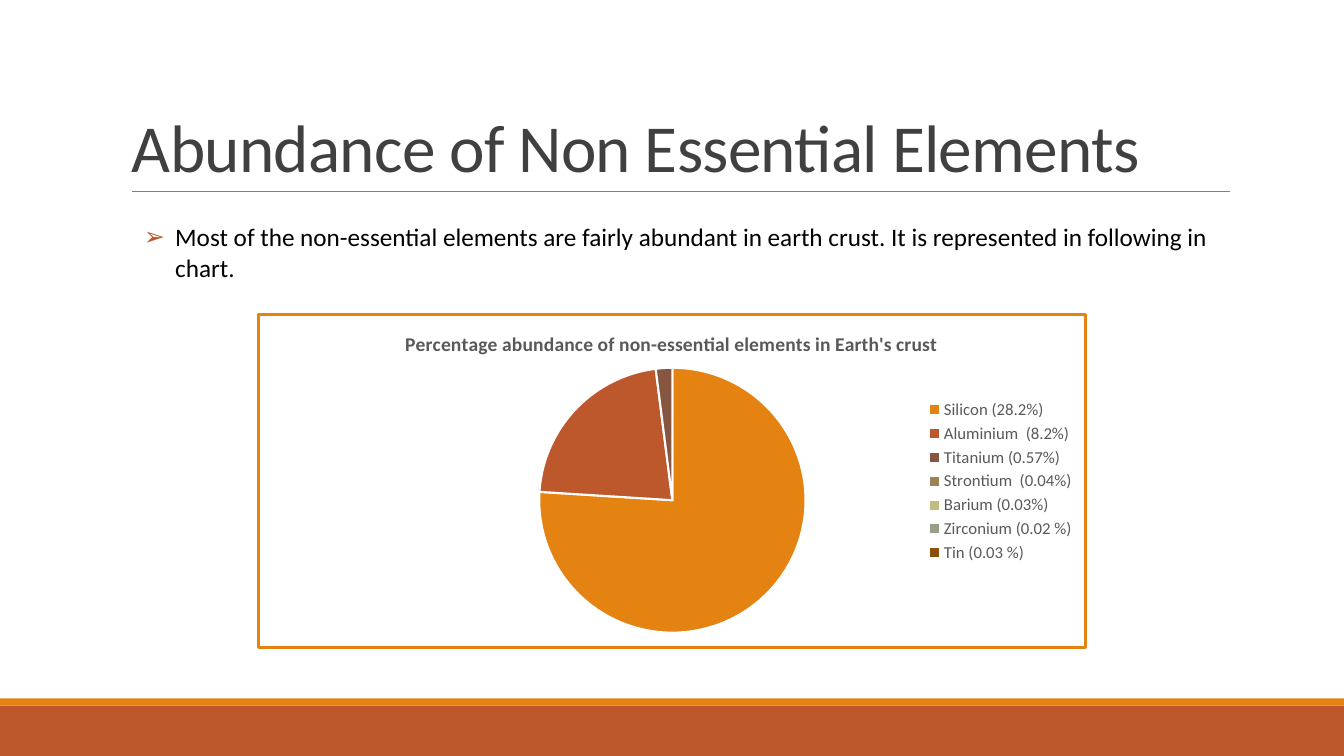
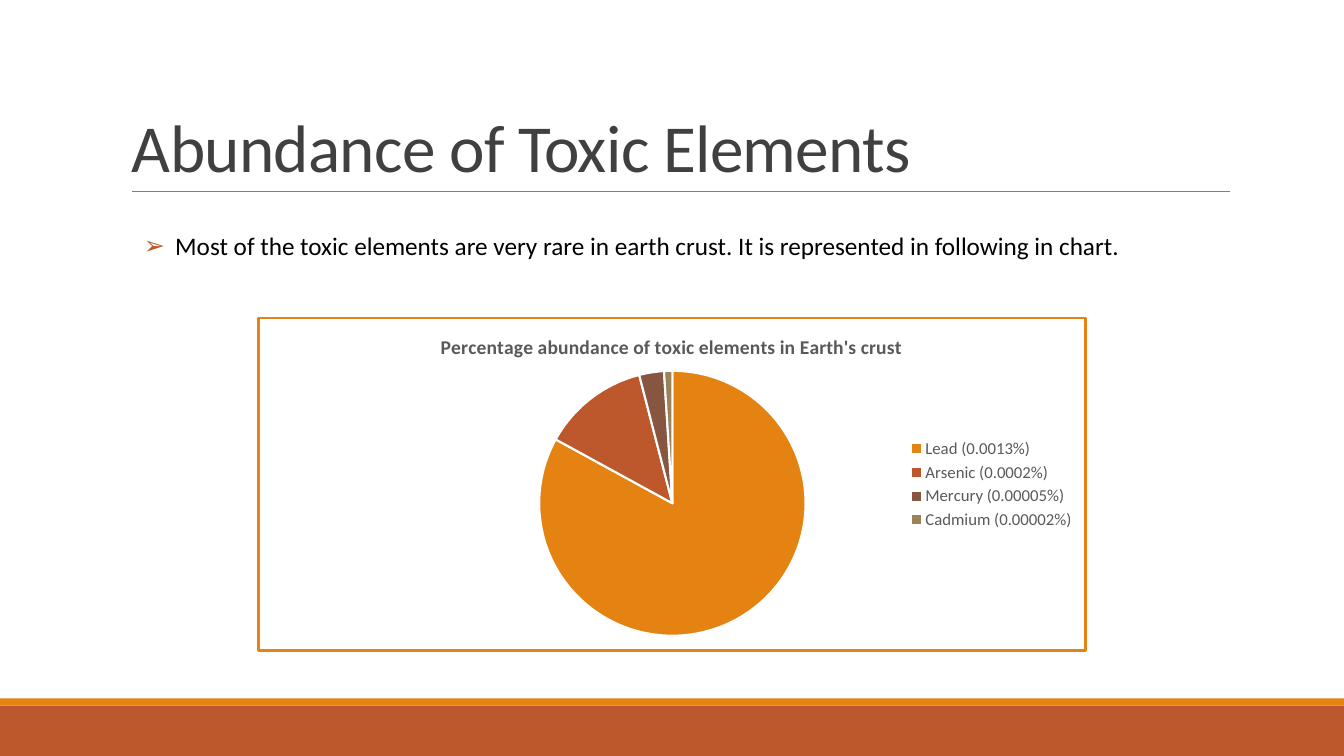
from dataclasses import dataclass

from lxml import etree
from pptx import Presentation
from pptx import util as u
from pptx.chart import data as cd
from pptx.dml.color import RGBColor
from pptx.enum import chart as ce
from pptx.enum import shapes, text
from pptx.oxml import ns, parse_xml

COLORS = {
    "rust": "BD582C", "orange": "E48312", "rule": "808080", "title": "404040",
    "body": "000000", "chart_text": "595959", "white": "FFFFFF",
}
SLICES = ["E48312", "BD582C", "865640", "9B8357", "C2BC80", "94A088", "894F0B"]
FONT = "Calibri"
PLOT_BOX = {"x": 0.339, "y": 0.159, "w": 0.323, "h": 0.796}


@dataclass
class ChartSlide:
    title: str
    point: str
    point_top: float
    point_height: float
    chart_top: float
    chart_title: str
    title_x: float
    shares: dict[str, int]


@dataclass
class Band:
    top: float
    height: float
    color: str


BANDS = [Band(7, 0.5, "rust"), Band(6.93, 0.07, "orange")]

SLIDES = [
    ChartSlide(
        "Abundance of Non Essential Elements",
        "Most of the non-essential elements are fairly abundant in earth crust. "
        "It is represented in following in chart.",
        2.15, 0.71, 3.11,
        "Percentage abundance of non-essential elements in Earth's crust", 0.173,
        {"Silicon (28.2%)": 76, "Aluminium  (8.2%)": 22,
         "Titanium (0.57%)": 2, "Strontium  (0.04%)": 0,
         "Barium (0.03%)": 0, "Zirconium (0.02 %)": 0,
         "Tin (0.03 %)": 0}),
    ChartSlide(
        "Abundance of Toxic Elements",
        "Most of the toxic elements are very rare in earth crust. "
        "It is represented in following in chart.",
        2.24, 0.4, 3.14,
        "Percentage abundance of toxic elements in Earth's crust", 0.216,
        {"Lead (0.0013%)": 83, "Arsenic (0.0002%)": 13,
         "Mercury (0.00005%)": 3, "Cadmium (0.00002%)": 1}),
]


def rgb(name: str) -> RGBColor:
    return RGBColor.from_string(COLORS[name])


def box(left: float, top: float, width: float, height: float) -> list[u.Length]:
    return [u.Inches(v) for v in (left, top, width, height)]


def style(font, size: float, color: str, bold: bool = False) -> None:
    font.name, font.size, font.bold = FONT, u.Pt(size), bold
    font.color.rgb = rgb(color)


def add_text(s, content: str, at: list[u.Length], *, size: float, color: str,
             anchor=text.MSO_ANCHOR.TOP, line_spacing: float = 1.0,
             tracking: float = 0, bullet: str = "", indent: float = 0) -> None:
    tf = s.shapes.add_textbox(*at).text_frame
    tf.word_wrap = True
    tf.vertical_anchor = anchor
    p = tf.paragraphs[0]
    p.line_spacing = line_spacing
    r = p.add_run()
    r.text = content
    style(r.font, size, color)
    if tracking:
        r.font._element.set("spc", str(round(tracking * 100)))
    if bullet:
        ppr = p._p.get_or_add_pPr()
        ppr.set("marL", str(u.Inches(indent)))
        ppr.set("indent", str(-u.Inches(indent)))
        bu_clr = etree.SubElement(ppr, ns.qn("a:buClr"))
        etree.SubElement(bu_clr, ns.qn("a:srgbClr")).set("val", COLORS["rust"])
        etree.SubElement(ppr, ns.qn("a:buFont")).set("typeface", FONT)
        etree.SubElement(ppr, ns.qn("a:buChar")).set("char", bullet)


def add_frame(s) -> None:
    """Bottom bands and the rule under the title."""
    for band in BANDS:
        sp = s.shapes.add_shape(shapes.MSO_SHAPE.RECTANGLE,
                                *box(0, band.top, 13.33, band.height))
        sp.shadow.inherit = False
        sp.fill.solid()
        sp.fill.fore_color.rgb = rgb(band.color)
        sp.line.fill.background()
    rule = s.shapes.add_connector(shapes.MSO_CONNECTOR.STRAIGHT,
                                  *box(1.31, 1.9, 12.2, 1.9))
    rule.line.color.rgb = rgb("rule")
    rule.line.width = u.Pt(0.5)
    etree.SubElement(rule._element.spPr, ns.qn("a:effectLst"))


def set_layout(parent, index: int, target: str = "", **place: float) -> None:
    """Place a chart part by fractions of the chart's size."""
    for old in parent.findall(ns.qn("c:layout")):
        parent.remove(old)
    layout = etree.Element(ns.qn("c:layout"))
    manual = etree.SubElement(layout, ns.qn("c:manualLayout"))
    settings = {"layoutTarget": target} if target else {}
    settings |= {"xMode": "edge", "yMode": "edge"}
    settings |= {key: str(value) for key, value in place.items()}
    for key, value in settings.items():
        etree.SubElement(manual, ns.qn(f"c:{key}")).set("val", value)
    parent.insert(index, layout)


def add_pie(s, item: ChartSlide) -> None:
    data = cd.CategoryChartData()
    data.categories = list(item.shares)
    data.add_series("Series 1", list(item.shares.values()))
    chart = s.shapes.add_chart(ce.XL_CHART_TYPE.PIE,
                               *box(2.55, item.chart_top, 8.23, 3.33), data).chart
    style(chart.font, 10, "body")

    # Title and legend
    chart.has_title = True
    tf = chart.chart_title.text_frame
    tf.text = item.chart_title
    style(tf.paragraphs[0].runs[0].font, 14, "chart_text", bold=True)
    chart.has_legend = True
    chart.legend.position = ce.XL_LEGEND_POSITION.RIGHT
    chart.legend.include_in_layout = True
    style(chart.legend.font, 12, "chart_text")

    # Slices
    plot = chart.plots[0]
    plot.vary_by_categories = True
    for i, color in enumerate(SLICES[:len(item.shares)]):
        fmt = plot.series[0].points[i].format
        fmt.fill.solid()
        fmt.fill.fore_color.rgb = RGBColor.from_string(color)
        fmt.line.color.rgb = rgb("white")
        fmt.line.width = u.Pt(1.5)

    # Placement and border
    root = chart.element.find(ns.qn("c:chart"))
    set_layout(root.find(ns.qn("c:plotArea")), 0, "inner", **PLOT_BOX)
    set_layout(root.find(ns.qn("c:title")), 1, x=item.title_x, y=0.035)
    root.addnext(parse_xml(
        f'<c:spPr {ns.nsdecls("c", "a")}><a:noFill/><a:ln w="{u.Pt(2)}"><a:solidFill>'
        f'<a:srgbClr val="{COLORS["orange"]}"/></a:solidFill></a:ln></c:spPr>'))


def add_chart_slide(prs, item: ChartSlide) -> None:
    s = prs.slides.add_slide(prs.slide_layouts[6])
    add_frame(s)
    add_text(s, item.title, box(1.21, 0.31, 11, 1.59), size=48, color="title",
             anchor=text.MSO_ANCHOR.BOTTOM, line_spacing=0.85, tracking=-0.5)
    add_text(s, item.point, box(1.33, item.point_top, 10.87, item.point_height),
             size=18, color="body", bullet="➢", indent=0.31)
    add_pie(s, item)


def main() -> None:
    prs = Presentation()
    prs.slide_width, prs.slide_height = u.Inches(13.33), u.Inches(7.5)
    for item in SLIDES:
        add_chart_slide(prs, item)
    prs.save("out.pptx")


if __name__ == "__main__":
    main()
